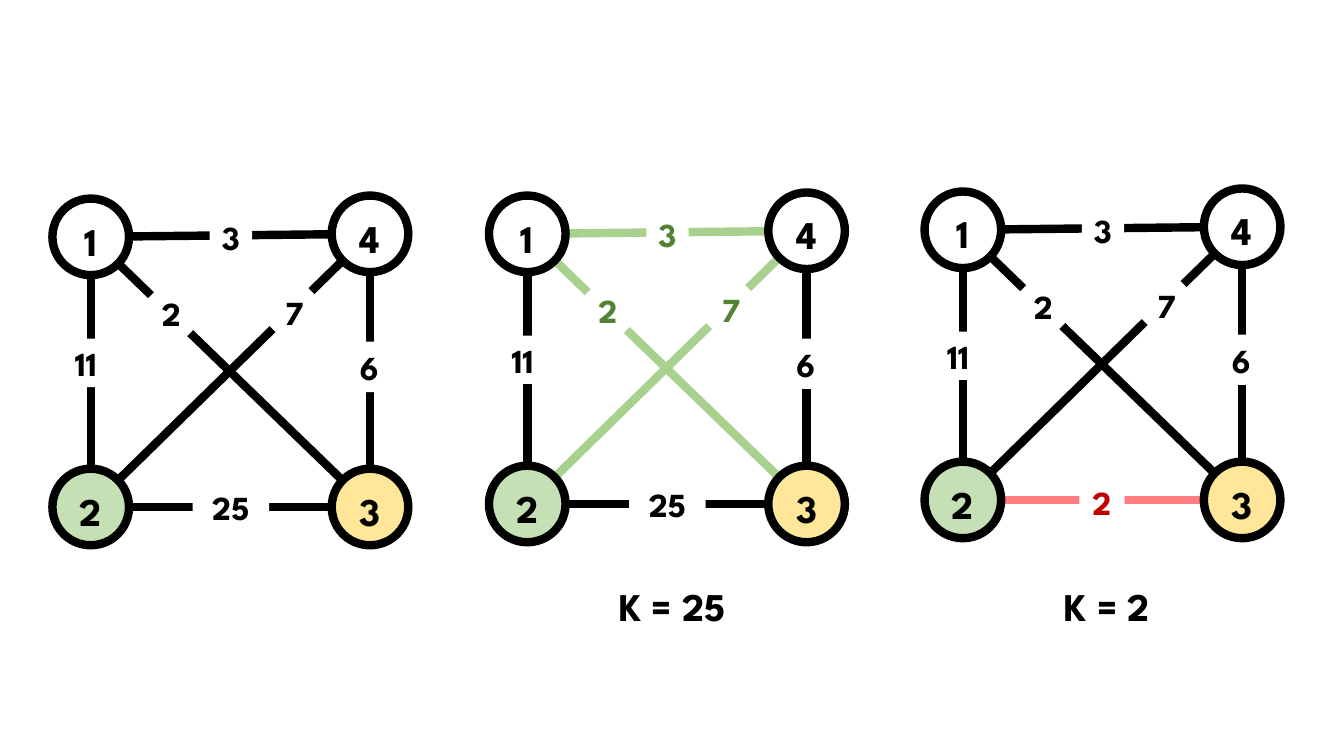
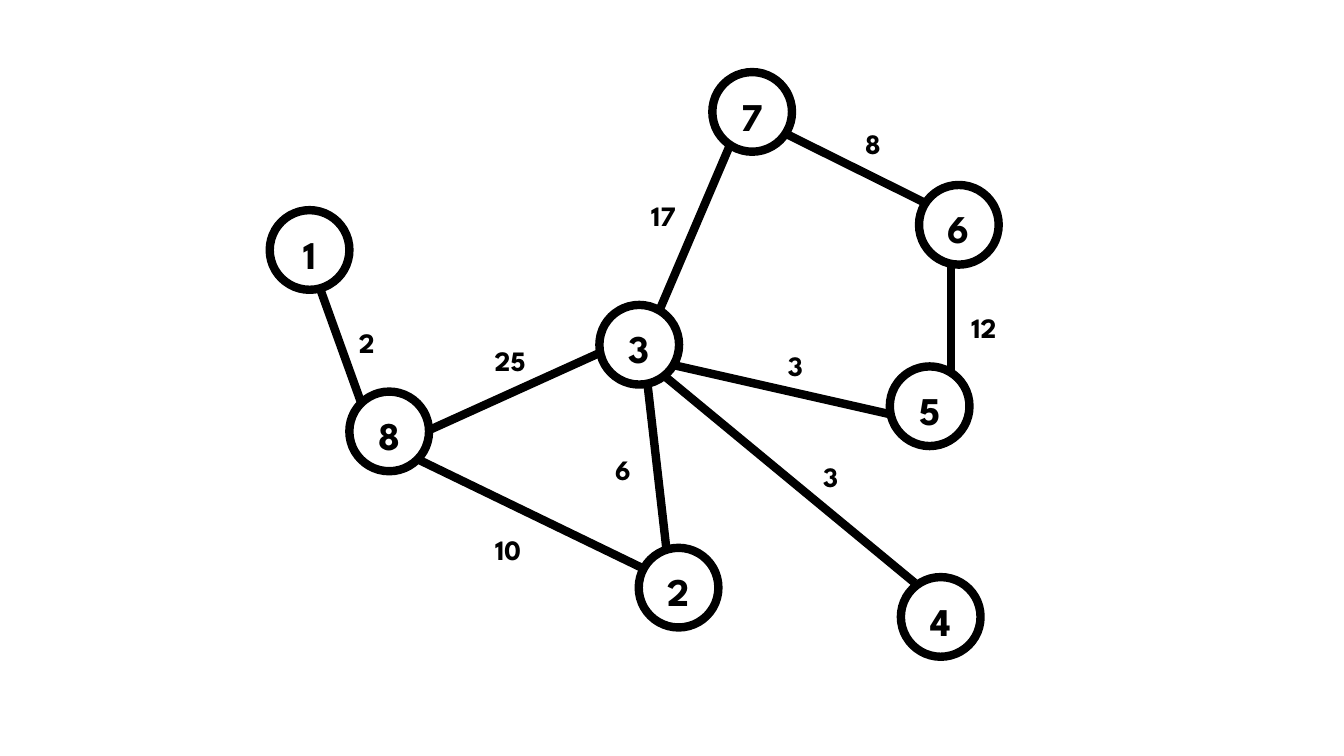
from math import hypot

from pptx import Presentation
from pptx.dml.color import RGBColor
from pptx.enum.shapes import MSO_CONNECTOR, MSO_SHAPE
from pptx.enum.text import MSO_ANCHOR, PP_ALIGN
from pptx.oxml.ns import qn
from pptx.util import Inches, Pt

FONT = "League Spartan"
BLACK, WHITE = "000000", "FFFFFF"
GREEN, DARK_GREEN = "A9D18E", "548235"
RED, DARK_RED = "FF7C80", "C00000"
LINE_WIDTH = 6

SQUARE_SIZE = 0.76
SQUARE_NODES = {
    "1": (0.9, 2.35, None),
    "2": (0.9, 5.03, "C5E0B4"),
    "3": (3.67, 5.03, "FFE699"),
    "4": (3.67, 2.32, None),
}
SQUARE_EDGES = {
    "14": ("3", "rect", 2.29, 2.35, 0.42, 0.5),
    "12": ("11", "rect", 0.94, 3.6, 0.59, 0.48),
    "23": ("25", "rect", 2.29, 5.03, 0.76, 0.48),
    "34": ("6", "rect", 3.68, 3.64, 0.42, 0.5),
    "13": ("2", "diamond", 1.7, 3.11, 0.76, 0.76),
    "24": ("7", "diamond", 2.92, 3.1, 0.76, 0.76),
}
LEFT_ALIGNED = ("12", "34")
GRAPHS = [
    {"shift": (0, 0)},
    {
        "shift": (4.33, -0.03),
        "colors": {edge: (GREEN, DARK_GREEN) for edge in ("14", "13", "24")},
    },
    {
        "shift": (8.65, -0.07),
        "colors": {"23": (RED, DARK_RED)},
        "weights": {"23": ("2", "rect", 2.28, 5.05, 0.45, 0.5)},
    },
]
CAPTIONS = [("K = 25", 5.66, 5.73), ("K = 2", 9.97, 5.73)]

TREE_SIZE = 0.79
TREE_NODES = {
    "1": (3.07, 2.48),
    "2": (6.73, 5.83),
    "3": (6.34, 3.42),
    "4": (9.33, 6.12),
    "5": (9.22, 4.03),
    "6": (9.51, 2.23),
    "7": (7.46, 1.11),
    "8": (3.86, 4.28),
}
TREE_EDGES = [
    ("17", (6.54, 3.08), (7.24, 1.44), (6.2, 1.92)),
    ("2", (3.58, 3.99), (3.17, 2.85), (3.26, 3.18)),
    ("25", (5.95, 3.5), (4.25, 4.27), (4.68, 3.36)),
    ("6", (6.61, 5.45), (6.42, 3.79), (5.8, 4.44)),
    ("10", (6.38, 5.64), (4.13, 4.55), (4.66, 5.23)),
    ("8", (7.78, 1.32), (9.17, 2.01), (8.28, 1.21)),
    ("3", (6.67, 3.62), (8.83, 4.11), (7.51, 3.41)),
    ("12", (9.43, 2.59), (9.43, 3.69), (9.38, 3.03)),
    ("3", (6.59, 3.73), (9.07, 5.78), (7.86, 4.51)),
]


def rgb(color):
    return RGBColor.from_string(color)


def write(shape, text, size=28, color=BLACK, align=PP_ALIGN.CENTER,
          anchor=MSO_ANCHOR.MIDDLE, margins=(0.1, 0.05, 0.1, 0.05)):
    frame = shape.text_frame
    frame.word_wrap = True
    frame.vertical_anchor = anchor
    (frame.margin_left, frame.margin_top,
     frame.margin_right, frame.margin_bottom) = map(Inches, margins)
    para = frame.paragraphs[0]
    para.alignment = align
    span = para.add_run()
    span.text = text
    span.font.name = FONT
    span.font.size = Pt(size)
    span.font.bold = True
    span.font.color.rgb = rgb(color)


def add_label(page, text, left, top, width, height, size):
    box = page.shapes.add_textbox(*map(Inches, (left, top, width, height)))
    write(box, text, size=size, anchor=MSO_ANCHOR.TOP)


def add_centered(page, kind, x, y, width, height, fill=None, line=None):
    shape = page.shapes.add_shape(
        kind, *map(Inches, (x - width / 2, y - height / 2, width, height)))
    shape.shadow.inherit = False
    if fill:
        shape.fill.solid()
        shape.fill.fore_color.rgb = rgb(fill)
    else:
        shape.fill.background()
    if line:
        shape.line.color.rgb = rgb(line)
        shape.line.width = Pt(LINE_WIDTH)
    else:
        shape.line.fill.background()
    return shape


def add_node(page, name, x, y, size, fill=None):
    node = add_centered(page, MSO_SHAPE.OVAL, x, y, size, size, fill, BLACK)
    write(node, name, margins=(0, 0.07, 0, 0))


def add_edge(page, start, end, color=BLACK):
    edge = page.shapes.add_connector(
        MSO_CONNECTOR.STRAIGHT, *map(Inches, (*start, *end)))
    edge.line.color.rgb = rgb(color)
    edge.line.width = Pt(LINE_WIDTH)
    properties = edge.element.spPr
    properties.append(properties.makeelement(qn("a:effectLst"), {}))


def rim_point(center, target, radius):
    dx, dy = target[0] - center[0], target[1] - center[1]
    ratio = radius / hypot(dx, dy)
    return center[0] + dx * ratio, center[1] + dy * ratio


def add_weight(page, weight, shift, color, align):
    text, kind, x, y, width, height = weight
    x, y = x + shift[0], y + shift[1]
    if kind == "diamond":
        patch = add_centered(page, MSO_SHAPE.DIAMOND, x, y, width, height, WHITE)
        write(patch, text, size=24, color=color, margins=(0, 0, 0, 0))
    else:
        patch = add_centered(page, MSO_SHAPE.RECTANGLE, x, y, width, height, WHITE)
        write(patch, text, size=24, color=color, align=align)


def add_graph(page, shift, colors={}, weights={}):
    centers = {name: (x + shift[0], y + shift[1])
               for name, (x, y, fill) in SQUARE_NODES.items()}
    plain = (BLACK, BLACK)
    for edge in SQUARE_EDGES:
        first, second = (centers[name] for name in edge)
        add_edge(page, rim_point(first, second, SQUARE_SIZE / 2),
                 rim_point(second, first, SQUARE_SIZE / 2),
                 colors.get(edge, plain)[0])
    for name, (x, y, fill) in SQUARE_NODES.items():
        add_node(page, name, *centers[name], SQUARE_SIZE, fill)
    for edge, weight in {**SQUARE_EDGES, **weights}.items():
        align = PP_ALIGN.LEFT if edge in LEFT_ALIGNED else PP_ALIGN.CENTER
        add_weight(page, weight, shift, colors.get(edge, plain)[1], align)


def build_squares(page):
    for graph in GRAPHS:
        add_graph(page, **graph)
    for text, left, top in CAPTIONS:
        add_label(page, text, left, top, 2.02, 0.57, size=28)


def build_tree(page):
    for weight, start, end, corner in TREE_EDGES:
        add_edge(page, start, end)
        add_label(page, weight, *corner, 0.76, 0.44, size=20)
    for name, center in TREE_NODES.items():
        add_node(page, name, *center, TREE_SIZE)


def main():
    deck = Presentation()
    deck.slide_width, deck.slide_height = Inches(13.33), Inches(7.5)
    for build in (build_squares, build_tree):
        build(deck.slides.add_slide(deck.slide_layouts[6]))
    deck.save("out.pptx")


if __name__ == "__main__":
    main()
